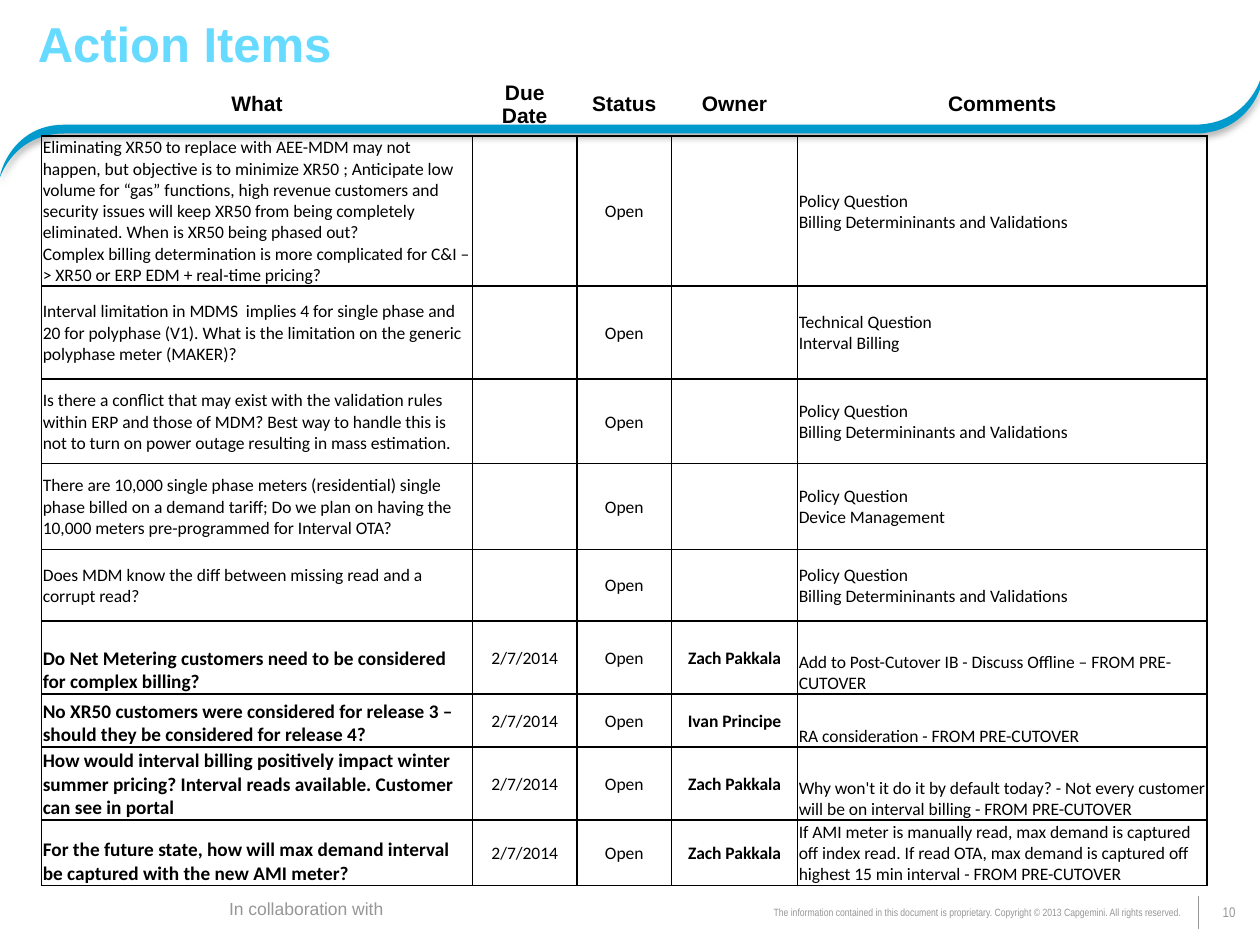
import pptx
import pptx.dml.color
import pptx.enum.shapes
import pptx.enum.text
import pptx.oxml
import pptx.oxml.ns
import pptx.util

ALIGN = pptx.enum.text.PP_ALIGN
ANCHOR = pptx.enum.text.MSO_ANCHOR
NAMESPACE = pptx.oxml.ns.nsdecls("a")
BLACK, GREY, BLUE = "000000", "969696", "009ACC"


def color(hex_string):
    return pptx.dml.color.RGBColor.from_string(hex_string)


def write(frame, text, size, font, hex_string, bold=False, align=ALIGN.LEFT, spacing=1.0):
    """Fill the first paragraph of a frame, with a line break at each newline."""
    paragraph = frame.paragraphs[0]
    paragraph.alignment = align
    paragraph.line_spacing = spacing
    for number, line in enumerate(text.split("\n")):
        if number:
            paragraph.add_line_break()
        run = paragraph.add_run()
        run.text = line
        run.font.size = pptx.util.Pt(size)
        run.font.name = font
        run.font.bold = bold
        run.font.color.rgb = color(hex_string)
    return paragraph


presentation = pptx.Presentation()
presentation.slide_width = pptx.util.Inches(10)
presentation.slide_height = pptx.util.Inches(7.5)
slide = presentation.slides.add_slide(presentation.slide_layouts[6])
shapes = slide.shapes

# The slide is a grid of 100 columns by 75 rows
unit = presentation.slide_width // 100

# Footer texts: left, top, width, height, text, size, font, alignment, wrap
footers = [
    (17.2, 71, 14.3, 2.4, "In collaboration with", 10, "Arial", ALIGN.LEFT, False),
    (95.1, 71.1, 4.9, 2.7, "10", 8, "Arial Narrow", ALIGN.CENTER, True),
    (44.9, 71.6, 49.8, 1.9, "The information contained in this document\u00a0is proprietary. "
     "Copyright © 2013 Capgemini. All rights reserved.", 6, "Arial Narrow", ALIGN.RIGHT, True),
]
for left, top, width, height, text, size, font, align, wrap in footers:
    box = shapes.add_textbox(*(int(n * unit) for n in (left, top, width, height)))
    box.text_frame.word_wrap = wrap
    if text == "10":
        box.text_frame.vertical_anchor = ANCHOR.MIDDLE
    write(box.text_frame, text, size, font, GREY, align=align, spacing=0.85)

# Footer divider
divider = shapes.add_connector(
    pptx.enum.shapes.MSO_CONNECTOR.STRAIGHT,
    *(int(n * unit) for n in (95.1, 71.1, 95.1, 73.7)))
divider.line.color.rgb = color(GREY)
divider.line.width = pptx.util.Pt(0.75)
divider._element.spPr.append(pptx.oxml.parse_xml(f"<a:effectLst {NAMESPACE}/>"))

# Swoosh: each end is a cubic curve, drawn with short steps
left_outer = [(5.1, 9.9), (1.1, 9.9), (0, 13.6), (0, 14.1)]
left_inner = [(0, 14.1), (0, 14.1), (1.1, 10.6), (5.1, 10.6)]
right_inner = [(94.8, 10.6), (98.9, 10.6), (100, 7.1), (100, 7.1)]
right_outer = [(100, 6.4), (100, 6.4), (98.9, 9.9), (94.8, 9.9)]
steps = 24
outline = []
for curve in (left_outer, left_inner, right_inner, right_outer):
    for step in range(steps + 1):
        t = step / steps
        weights = ((1 - t) ** 3, 3 * t * (1 - t) ** 2, 3 * t ** 2 * (1 - t), t ** 3)
        outline.append(tuple(
            int(unit * sum(w * point[axis] for w, point in zip(weights, curve)))
            for axis in (0, 1)))
builder = shapes.build_freeform(*outline[0], scale=1.0)
builder.add_line_segments(outline[1:], close=True)
swoosh = builder.convert_to_shape()
swoosh.fill.solid()
swoosh.fill.fore_color.rgb = color(BLUE)
swoosh.line.fill.background()
swoosh._element.spPr.append(pptx.oxml.parse_xml(
    f'<a:effectLst {NAMESPACE}><a:outerShdw blurRad="50800" dist="25400" dir="5400000" '
    f'rotWithShape="0"><a:srgbClr val="{BLACK}"><a:alpha val="31000"/></a:srgbClr>'
    '</a:outerShdw></a:effectLst>'))

# Title with gradient letters
title = shapes.add_textbox(0, int(0.3 * unit), int(96.5 * unit), int(5.8 * unit))
frame = title.text_frame
frame.word_wrap = True
frame.vertical_anchor = ANCHOR.MIDDLE
frame.margin_left, frame.margin_top = 3 * unit, int(0.4 * unit)
frame.margin_right = frame.margin_bottom = 0
paragraph = write(frame, "Action Items", 28, "Arial", "67DAFF", bold=True)
properties = paragraph.runs[0].font._element
properties.remove(properties.find(pptx.oxml.ns.qn("a:solidFill")))
stops = "".join(
    f'<a:gs pos="{share * 1000}"><a:srgbClr val="{shade}"/></a:gs>'
    for share, shade in ((0, "26738A"), (78, "67DAFF"), (100, "F1FBFF")))
properties.insert(0, pptx.oxml.parse_xml(
    f'<a:gradFill {NAMESPACE}><a:gsLst>{stops}</a:gsLst>'
    '<a:lin ang="5400000" scaled="0"/></a:gradFill>'))

# Action items: what, due date, status, owner, comments
policy = "Policy Question\nBilling Determininants and Validations"
header = ("What", "Due Date", "Status", "Owner", "Comments")
open_questions = [
    ("Eliminating XR50 to replace with AEE-MDM may not happen, but objective is to minimize "
     "XR50 ; Anticipate low volume for “gas” functions, high revenue customers and security "
     "issues will keep XR50 from being completely eliminated. When is XR50 being phased out?\n"
     "Complex billing determination is more complicated for C&I –> XR50 or ERP EDM + "
     "real-time pricing?", policy),
    ("Interval limitation in MDMS\u00a0 implies 4 for single phase and 20 for polyphase (V1). "
     "What is the limitation on the generic polyphase meter (MAKER)?",
     "Technical Question\nInterval Billing"),
    ("Is there a conflict that may exist with the validation rules within ERP and those of "
     "MDM? Best way to handle this is not to turn on power outage resulting in mass "
     "estimation.", policy),
    ("There are 10,000 single phase meters (residential) single phase billed on a demand "
     "tariff; Do we plan on having the 10,000 meters pre-programmed for Interval OTA?",
     "Policy Question\nDevice Management"),
    ("Does MDM know the diff between missing read and a corrupt read?", policy),
]
owned_questions = [
    ("Do Net Metering customers need to be considered for complex billing?", "Zach Pakkala",
     "Add to Post-Cutover IB - Discuss Offline – FROM PRE-CUTOVER"),
    ("No XR50 customers were considered for release 3 – should they be considered for "
     "release 4?", "Ivan Principe", "RA consideration - FROM PRE-CUTOVER"),
    ("How would interval billing positively impact winter summer pricing? Interval reads "
     "available. Customer can see in portal", "Zach Pakkala",
     "Why won't it do it by default today? - Not every customer will be on interval billing "
     "- FROM PRE-CUTOVER"),
    ("For the future state, how will max demand interval be captured with the new AMI meter?",
     "Zach Pakkala",
     "If AMI meter is manually read, max demand is captured off index read. If read OTA, max "
     "demand is captured off highest 15 min interval - FROM PRE-CUTOVER"),
]
rows = [header]
rows += [(what, "", "Open", "", comment) for what, comment in open_questions]
rows += [(what, "2/7/2014", "Open", owner, comment) for what, owner, comment in owned_questions]
first_owned = 1 + len(open_questions)

# Table
column_widths = (34.2, 8.3, 7.5, 10, 32.5)
row_heights = (4.9, 11.9, 7.4, 6.7, 6.8, 5.7, 5.8, 4.2, 5.8, 5.2)
table = shapes.add_table(
    len(rows), len(header), int(3.3 * unit), int(5.8 * unit),
    int(sum(column_widths) * unit), int(sum(row_heights) * unit)).table
table.first_row = table.horz_banding = False
for column, width in zip(table.columns, column_widths):
    column.width = int(width * unit)
for row, height in zip(table.rows, row_heights):
    row.height = int(height * unit)

for row_number, texts in enumerate(rows):
    is_header = row_number == 0
    is_owned = row_number >= first_owned
    for column_number, text in enumerate(texts):
        cell = table.cell(row_number, column_number)
        is_outer = column_number in (0, 4)
        cell.vertical_anchor = ANCHOR.BOTTOM if is_owned and is_outer else ANCHOR.MIDDLE
        if is_header:
            write(cell.text_frame, text, 12, "Arial", BLACK, True, ALIGN.CENTER)
        else:
            cell.margin_left = cell.margin_top = cell.margin_right = int(0.1 * unit)
            cell.margin_bottom = 0
            size = 11 if is_owned and column_number == 0 else 10
            write(cell.text_frame, text, size, "Calibri", BLACK,
                  is_owned and column_number in (0, 3),
                  ALIGN.LEFT if is_outer else ALIGN.CENTER)

        # Borders: the header has only its lower one
        cell.fill.background()
        for position, side in enumerate("LRTB"):
            paint = "<a:noFill/>"
            if not is_header or side == "B":
                paint = f'<a:solidFill><a:srgbClr val="{BLACK}"/></a:solidFill>'
            cell._tc.tcPr.insert(position, pptx.oxml.parse_xml(
                f'<a:ln{side} {NAMESPACE} w="12700">{paint}</a:ln{side}>'))

presentation.save("out.pptx")
